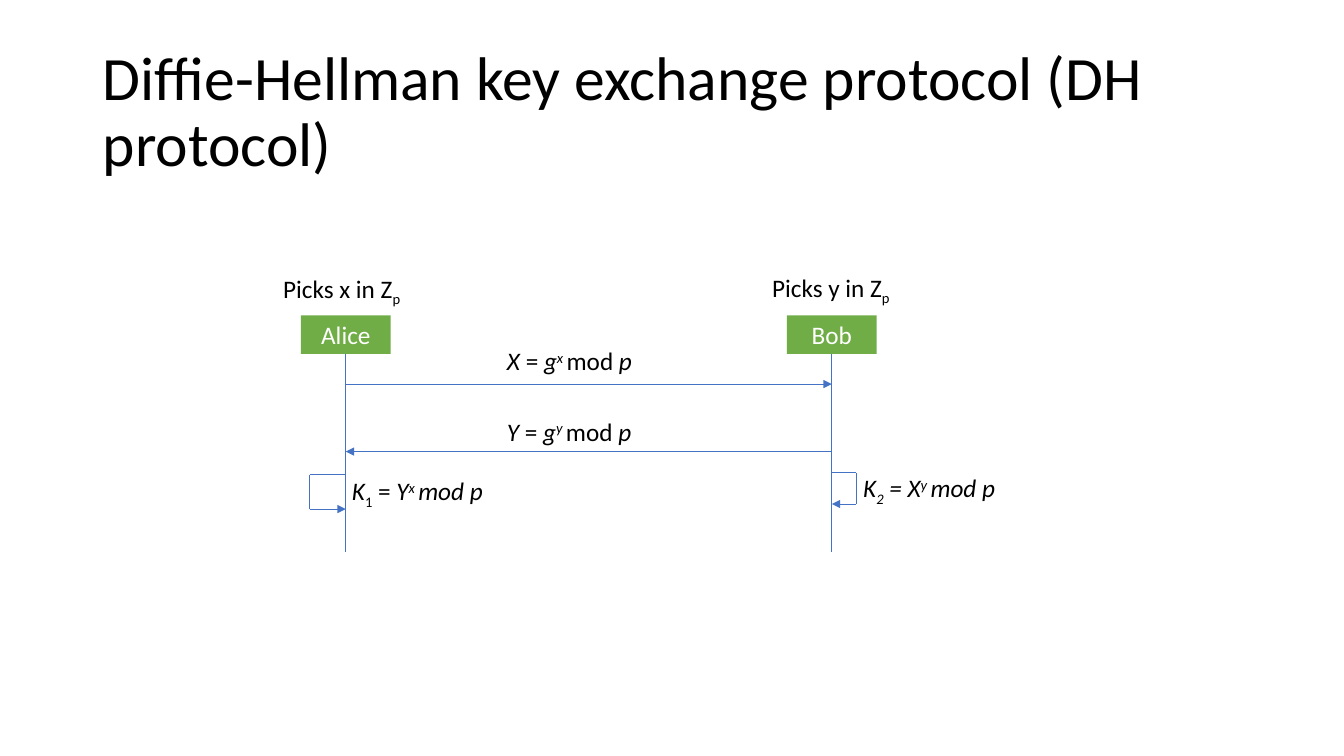
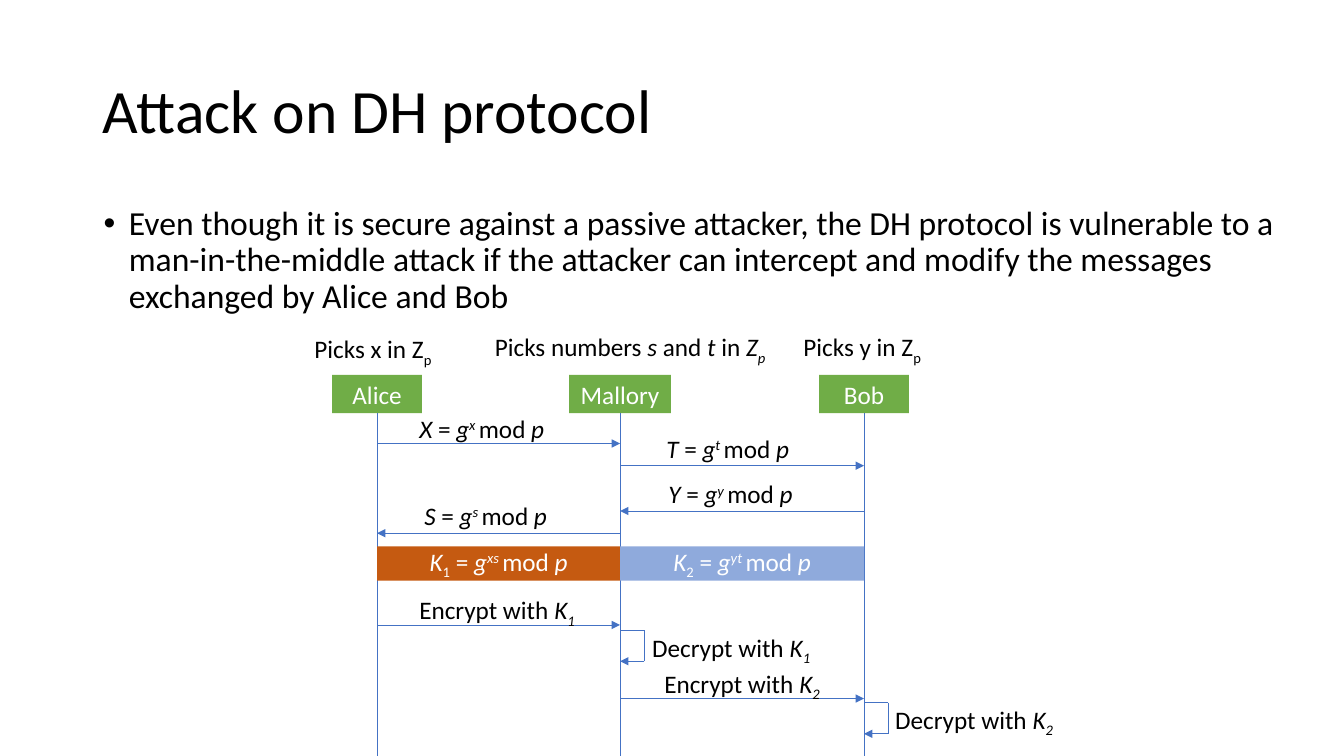
from dataclasses import dataclass
from typing import Any

import pptx
import pptx.dml.color
import pptx.enum.shapes
import pptx.enum.text
import pptx.oxml.ns
import pptx.util
from lxml import etree

Inches = pptx.util.Inches
RGBColor = pptx.dml.color.RGBColor
Align = pptx.enum.text.PP_ALIGN

# Shared look
FONT = "Calibri"
BLACK = RGBColor(0x00, 0x00, 0x00)
WHITE = RGBColor(0xFF, 0xFF, 0xFF)
GREEN = RGBColor(0x70, 0xAD, 0x47)
BLUE = RGBColor(0x44, 0x72, 0xC4)
ORANGE = RGBColor(0xC5, 0x5A, 0x11)
LIGHT_BLUE = RGBColor(0x8F, 0xAA, 0xDC)
TITLE_SIZE, BODY_SIZE, LABEL_SIZE = 44, 24, 18
LINE_WIDTH = 0.5
PARTY_HEIGHT = 0.38
LABEL_HEIGHT = 0.4
BAND_HEIGHT = 0.34
TITLE_ONLY = 5


@dataclass(frozen=True)
class Span:
    text: str
    italic: bool = False
    baseline: int = 0  # percent: above zero is superscript


@dataclass(frozen=True)
class Label:
    spans: list[Span]
    left: float
    top: float
    width: float
    align: Any = Align.LEFT


@dataclass(frozen=True)
class Party:
    name: str
    center: float
    label: Label
    width: float = 0.89


@dataclass(frozen=True)
class Message:
    sender: float
    receiver: float
    y: float
    label: Label


@dataclass(frozen=True)
class SelfLoop:
    lifeline: float
    top: float
    label: Label
    reach: float = 0.24
    height: float = 0.31


@dataclass(frozen=True)
class KeyBand:
    left: float
    right: float
    top: float
    color: RGBColor
    spans: list[Span]


# Formula wording
def picks(secret: str) -> list[Span]:
    return [Span(f"Picks {secret} in Z"), Span("p", baseline=-25)]


def power(exponent: str) -> list[Span]:
    return [Span("g", True), Span(f"{exponent} ", True, 30), Span("mod "), Span("p", True)]


def public_value(name: str, exponent: str) -> list[Span]:
    return [Span(f"{name} ", True), Span("= "), *power(exponent)]


def key(number: str, italic_number: bool = True) -> list[Span]:
    return [Span("K", True), Span(number, italic_number, -25)]


def shared_key(number: str, exponent: str) -> list[Span]:
    return [*key(number, False), Span(" = "), *power(exponent)]


def action(verb: str, number: str) -> list[Span]:
    return [Span(f"{verb} with "), *key(number)]


# Drawing
def format_run(run: Any, size: float, color: RGBColor) -> None:
    run.font.name = FONT
    run.font.size = pptx.util.Pt(size)
    run.font.color.rgb = color


def write_spans(para: Any, spans: list[Span], color: RGBColor) -> None:
    for span in spans:
        run = para.add_run()
        run.text = span.text
        format_run(run, LABEL_SIZE, color)
        run.font.italic = span.italic
        if span.baseline:
            run.font._element.set("baseline", str(span.baseline * 1000))


def add_title_slide(deck: Any, title: str) -> Any:
    page = deck.slides.add_slide(deck.slide_layouts[TITLE_ONLY])
    box = page.shapes.title
    box.left, box.top = Inches(0.92), Inches(0.4)
    box.width, box.height = Inches(11.5), Inches(1.45)
    frame = box.text_frame
    frame.text = title
    frame.word_wrap = True
    frame.auto_size = pptx.enum.text.MSO_AUTO_SIZE.NONE
    frame.vertical_anchor = pptx.enum.text.MSO_ANCHOR.MIDDLE
    para = frame.paragraphs[0]
    para.alignment = Align.LEFT
    para.line_spacing = 0.9
    format_run(para.runs[0], TITLE_SIZE, BLACK)
    return page


def add_bullet(page: Any, text: str) -> None:
    box = page.shapes.add_textbox(Inches(0.93), Inches(2), Inches(11.97), Inches(1.41))
    frame = box.text_frame
    frame.word_wrap = True
    frame.text = text
    para = frame.paragraphs[0]
    para.line_spacing = 0.9
    para.space_before = pptx.util.Pt(10)
    format_run(para.runs[0], BODY_SIZE, BLACK)
    properties = para._p.get_or_add_pPr()
    properties.set("marL", str(Inches(0.25)))
    properties.set("indent", str(-Inches(0.25)))
    etree.SubElement(properties, pptx.oxml.ns.qn("a:buFont")).set("typeface", "Arial")
    etree.SubElement(properties, pptx.oxml.ns.qn("a:buChar")).set("char", "•")


def add_label(page: Any, label: Label) -> None:
    box = page.shapes.add_textbox(
        Inches(label.left), Inches(label.top), Inches(label.width), Inches(LABEL_HEIGHT)
    )
    frame = box.text_frame
    frame.word_wrap = False
    frame.auto_size = pptx.enum.text.MSO_AUTO_SIZE.SHAPE_TO_FIT_TEXT
    para = frame.paragraphs[0]
    para.alignment = label.align
    write_spans(para, label.spans, BLACK)


def add_block(page: Any, left: float, top: float, width: float, height: float,
              color: RGBColor, spans: list[Span]) -> Any:
    box = page.shapes.add_shape(
        pptx.enum.shapes.MSO_SHAPE.RECTANGLE,
        Inches(left), Inches(top), Inches(width), Inches(height),
    )
    box.shadow.inherit = False
    box.fill.solid()
    box.fill.fore_color.rgb = color
    box.line.fill.background()
    frame = box.text_frame
    frame.margin_left = frame.margin_right = 0
    frame.vertical_anchor = pptx.enum.text.MSO_ANCHOR.MIDDLE
    para = frame.paragraphs[0]
    para.alignment = Align.CENTER
    write_spans(para, spans, WHITE)
    return box


def add_line(page: Any, x1: float, y1: float, x2: float, y2: float,
             arrow: bool = False) -> Any:
    line = page.shapes.add_connector(
        pptx.enum.shapes.MSO_CONNECTOR.STRAIGHT,
        Inches(x1), Inches(y1), Inches(x2), Inches(y2),
    )
    line.line.color.rgb = BLUE
    line.line.width = pptx.util.Pt(LINE_WIDTH)
    if arrow:
        outline = line.line._get_or_add_ln()
        etree.SubElement(outline, pptx.oxml.ns.qn("a:tailEnd")).set("type", "triangle")
    etree.SubElement(line._element.spPr, pptx.oxml.ns.qn("a:effectLst"))
    return line


def add_party(page: Any, party: Party, top: float, end: float) -> None:
    box = add_block(page, party.center - party.width / 2, top, party.width,
                    PARTY_HEIGHT, GREEN, [Span(party.name)])
    lifeline = add_line(page, party.center, top + PARTY_HEIGHT, party.center, end)
    lifeline.begin_connect(box, 2)
    add_label(page, party.label)


def add_message(page: Any, message: Message) -> None:
    add_line(page, message.sender, message.y, message.receiver, message.y, arrow=True)
    add_label(page, message.label)


def add_self_loop(page: Any, loop: SelfLoop) -> None:
    outer, bottom = loop.lifeline + loop.reach, loop.top + loop.height
    add_line(page, loop.lifeline, loop.top, outer, loop.top)
    add_line(page, outer, loop.top, outer, bottom)
    add_line(page, outer, bottom, loop.lifeline, bottom, arrow=True)
    add_label(page, loop.label)


def add_sequence(page: Any, top: float, end: float, parties: list[Party],
                 bands: list[KeyBand], messages: list[Message],
                 loops: list[SelfLoop]) -> None:
    for party in parties:
        add_party(page, party, top, end)
    for band in bands:
        add_block(page, band.left, band.top, band.right - band.left,
                  BAND_HEIGHT, band.color, band.spans)
    for message in messages:
        add_message(page, message)
    for loop in loops:
        add_self_loop(page, loop)


# Slides
def build_exchange(deck: Any) -> None:
    page = add_title_slide(deck, "Diffie-Hellman key exchange protocol (DH protocol)")
    alice, bob = 3.43, 8.25
    alice_key = [*key("1", False), Span(" = "), Span("Y", True),
                 Span("x ", True, 30), Span("mod p", True)]
    bob_key = [*key("2"), Span(" = X", True), Span("y ", True, 30), Span("mod p", True)]
    add_sequence(
        page, 3.13, 5.48,
        parties=[
            Party("Alice", alice, Label(picks("x"), 2.71, 2.66, 1.43)),
            Party("Bob", bob, Label(picks("y"), 7.56, 2.65, 1.43)),
        ],
        bands=[],
        messages=[
            Message(alice, bob, 3.81, Label(public_value("X", "x"), 4.93, 3.38, 1.55)),
            Message(bob, alice, 4.48, Label(public_value("Y", "y"), 4.93, 4.08, 1.6)),
        ],
        loops=[
            SelfLoop(alice, 4.71, Label(alice_key, 3.36, 4.67, 1.56, Align.CENTER),
                     reach=-0.36, height=0.34),
            SelfLoop(bob, 4.69, Label(bob_key, 8.44, 4.64, 1.55, Align.CENTER)),
        ],
    )


def build_attack(deck: Any) -> None:
    page = add_title_slide(deck, "Attack on DH protocol")
    add_bullet(page, "Even though it is secure against a passive attacker, the DH protocol "
                     "is vulnerable to a man-in-the-middle attack if the attacker can "
                     "intercept and modify the messages exchanged by Alice and Bob")
    alice, mallory, bob = 3.74, 6.15, 8.57
    mallory_picks = [Span("Picks numbers "), Span("s ", True), Span("and "), Span("t ", True),
                     Span("in "), Span("Z", True), Span("p", True, -25)]
    add_sequence(
        page, 3.72, 7.5,
        parties=[
            Party("Alice", alice, Label(picks("x"), 3.02, 3.26, 1.43)),
            Party("Mallory", mallory, Label(mallory_picks, 4.81, 3.24, 2.93), width=1.01),
            Party("Bob", bob, Label(picks("y"), 7.87, 3.24, 1.43)),
        ],
        bands=[
            KeyBand(alice, mallory, 5.42, ORANGE, shared_key("1", "xs")),
            KeyBand(mallory, bob, 5.42, LIGHT_BLUE, shared_key("2", "yt")),
        ],
        messages=[
            Message(alice, mallory, 4.4, Label(public_value("X", "x"), 4.06, 4.05, 1.55)),
            Message(mallory, bob, 4.62, Label(public_value("T", "t"), 6.51, 4.25, 1.52)),
            Message(bob, mallory, 5.07, Label(public_value("Y", "y"), 6.53, 4.7, 1.6)),
            Message(mallory, alice, 5.29, Label(public_value("S", "s"), 4.11, 4.91, 1.52)),
            Message(alice, mallory, 6.2, Label(action("Encrypt", "1"), 4.06, 5.85, 1.81)),
            Message(mallory, bob, 6.93, Label(action("Encrypt", "2"), 6.49, 6.58, 1.77)),
        ],
        loops=[
            SelfLoop(mallory, 6.25, Label(action("Decrypt", "1"), 6.37, 6.22, 1.8)),
            SelfLoop(bob, 6.97, Label(action("Decrypt", "2"), 8.78, 6.94, 1.8)),
        ],
    )


def main() -> None:
    deck = pptx.Presentation()
    deck.slide_width, deck.slide_height = Inches(13.33), Inches(7.5)
    build_exchange(deck)
    build_attack(deck)
    deck.save("out.pptx")


if __name__ == "__main__":
    main()
